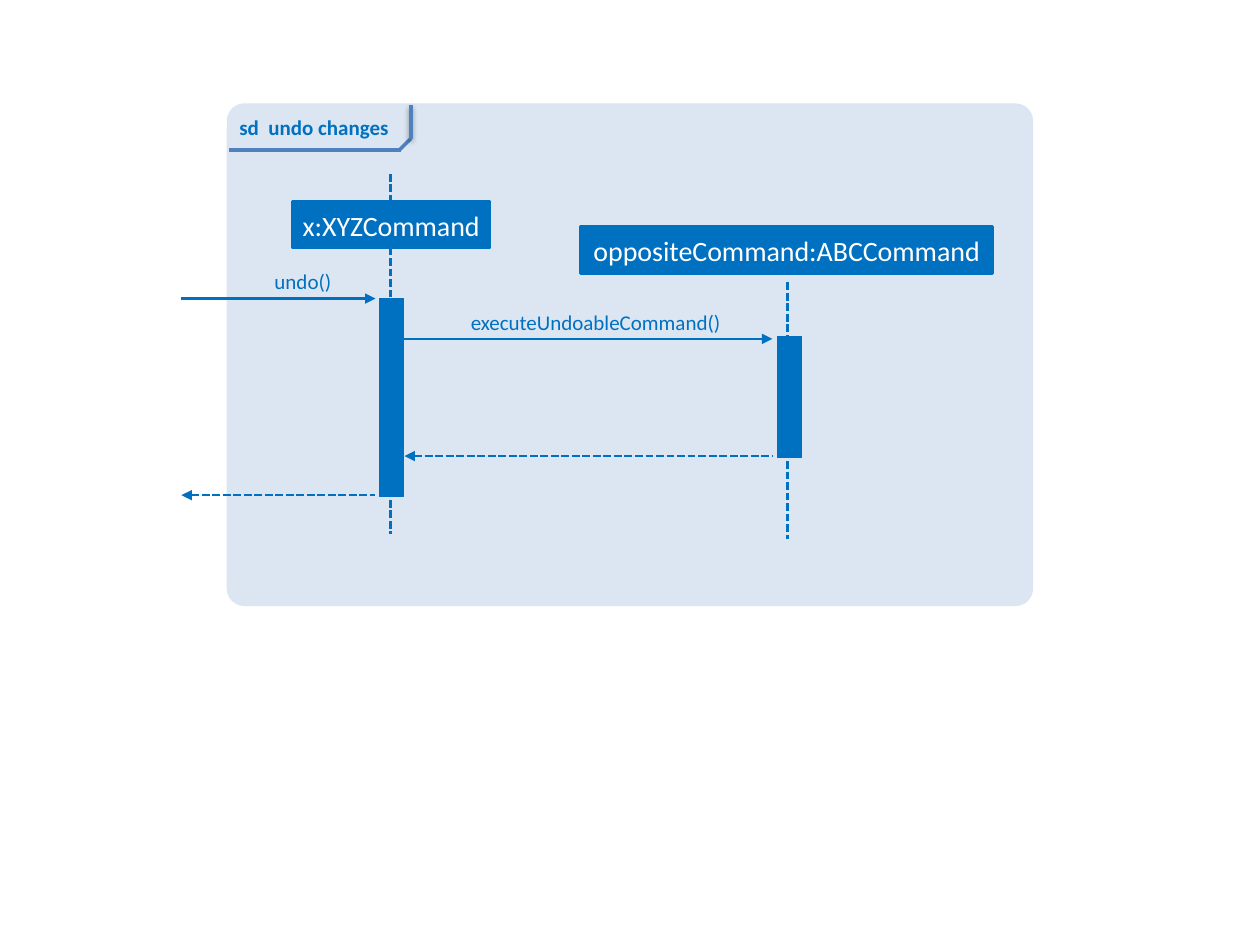
from pptx import Presentation
from pptx.util import Inches, Pt
from pptx.dml.color import RGBColor
from pptx.enum.dml import MSO_LINE_DASH_STYLE as Dash
from pptx.enum.shapes import MSO_CONNECTOR as Conn, MSO_SHAPE as Kind
from pptx.enum.text import MSO_ANCHOR as Anchor, PP_ALIGN as Align
from lxml.etree import SubElement as Sub
from pptx.oxml.ns import qn

BLUE = RGBColor(0x00, 0x70, 0xC0)
STEEL = RGBColor(0x4F, 0x81, 0xBD)
PALE = RGBColor(0xDC, 0xE6, 0xF2)
WHITE = RGBColor(0xFF, 0xFF, 0xFF)


def put(item, form):
    for name, value in form.items():
        setattr(item, name, value)


def write(shape, text, font, align, anchor, pad):
    frame = shape.text_frame
    sides = ("left", "top", "right", "bottom")
    put(frame, {"word_wrap": True, "vertical_anchor": anchor})
    put(frame, {f"margin_{side}": Inches(pad) for side in sides})
    line = frame.paragraphs[0]
    line.alignment = align
    run = line.add_run()
    run.text = text
    color = font.pop("color")
    put(run.font, {"name": "Calibri", **font})
    run.font.color.rgb = color


def block(slide, kind, box, fill, width=None):
    shape = slide.shapes.add_shape(kind, *map(Inches, box))
    shape.shadow.inherit = False
    shape.fill.solid()
    shape.fill.fore_color.rgb = fill
    if width is None:
        shape.line.fill.background()
    else:
        shape.line.color.rgb = fill
        shape.line.width = Pt(width)
    return shape


def header(slide, box, text):
    shape = block(slide, Kind.RECTANGLE, box, BLUE, 1.5)
    font = {"size": Pt(16), "color": WHITE}
    write(shape, text, font, Align.CENTER, Anchor.MIDDLE, 0.05)


def label(slide, box, text, align=Align.RIGHT, pad=0, bold=False):
    shape = slide.shapes.add_textbox(*map(Inches, box))
    font = {"size": Pt(12), "color": BLUE, "bold": bold}
    write(shape, text, font, align, Anchor.TOP, pad)


def stroke(slide, start, end, color=BLUE, width=1.5, dash=False, tip=None):
    line = slide.shapes.add_connector(
        Conn.STRAIGHT, *map(Inches, (*start, *end)))
    line.line.color.rgb = color
    line.line.width = Pt(width)
    if dash:
        line.line.dash_style = Dash.SQUARE_DOT
    props = line._element.spPr
    if tip:
        Sub(line.line._get_or_add_ln(), qn(f"a:{tip}"), type="triangle")
    return Sub(props, qn("a:effectLst"))


def shade(effect):
    cast = Sub(effect, qn("a:outerShdw"), blurRad=str(Pt(3)),
               dist=str(Pt(1.6)), dir="5400000", rotWithShape="0")
    tone = Sub(cast, qn("a:srgbClr"), val="000000")
    Sub(tone, qn("a:alpha"), val="38000")


def life(slide, x, top, end):
    stroke(slide, (x, top), (x, end), dash=True)


def call(slide, left, right, y):
    stroke(slide, (left, y), (right, y), tip="tailEnd")


def reply(slide, left, right, y):
    stroke(slide, (left, y), (right, y), dash=True, tip="headEnd")


def tab(slide):
    label(slide, (1.85, 0.86, 1.77, 0.3), "sd  undo changes",
          Align.LEFT, 0.05, True)
    stroke(slide, (1.82, 1.19), (3.18, 1.19), STEEL, 2)
    stroke(slide, (3.26, 1.1), (3.17, 1.19), STEEL, 2)
    shade(stroke(slide, (3.26, 1.1), (3.26, 0.83), STEEL, 2))


def main():
    deck = Presentation()
    put(deck, {"slide_width": Inches(10), "slide_height": Inches(7.5)})
    slide = deck.slides.add_slide(deck.slide_layouts[6])

    panel = block(slide, Kind.ROUNDED_RECTANGLE, (1.8, 0.82, 6.4, 3.99), PALE)
    panel.adjustments[0] = 0.035
    tab(slide)

    life(slide, 3.1, 1.38, 4.24)
    life(slide, 6.25, 2.24, 4.28)
    header(slide, (2.32, 1.6, 1.57, 0.37), "x:XYZCommand")
    header(slide, (4.61, 1.8, 3.27, 0.37), "oppositeCommand:ABCCommand")
    for box in ((3.01, 2.37, 0.19, 1.57), (6.17, 2.67, 0.19, 0.96)):
        block(slide, Kind.RECTANGLE, box, BLUE, 0.75)

    call(slide, 1.44, 2.98, 2.37)
    call(slide, 3.15, 6.13, 2.69)
    reply(slide, 3.21, 6.13, 3.62)
    reply(slide, 1.44, 2.98, 3.93)
    label(slide, (1.8, 2.13, 0.83, 0.19), "undo()")
    label(slide, (3.59, 2.46, 2.13, 0.3), "executeUndoableCommand()")

    deck.save("out.pptx")


main()
